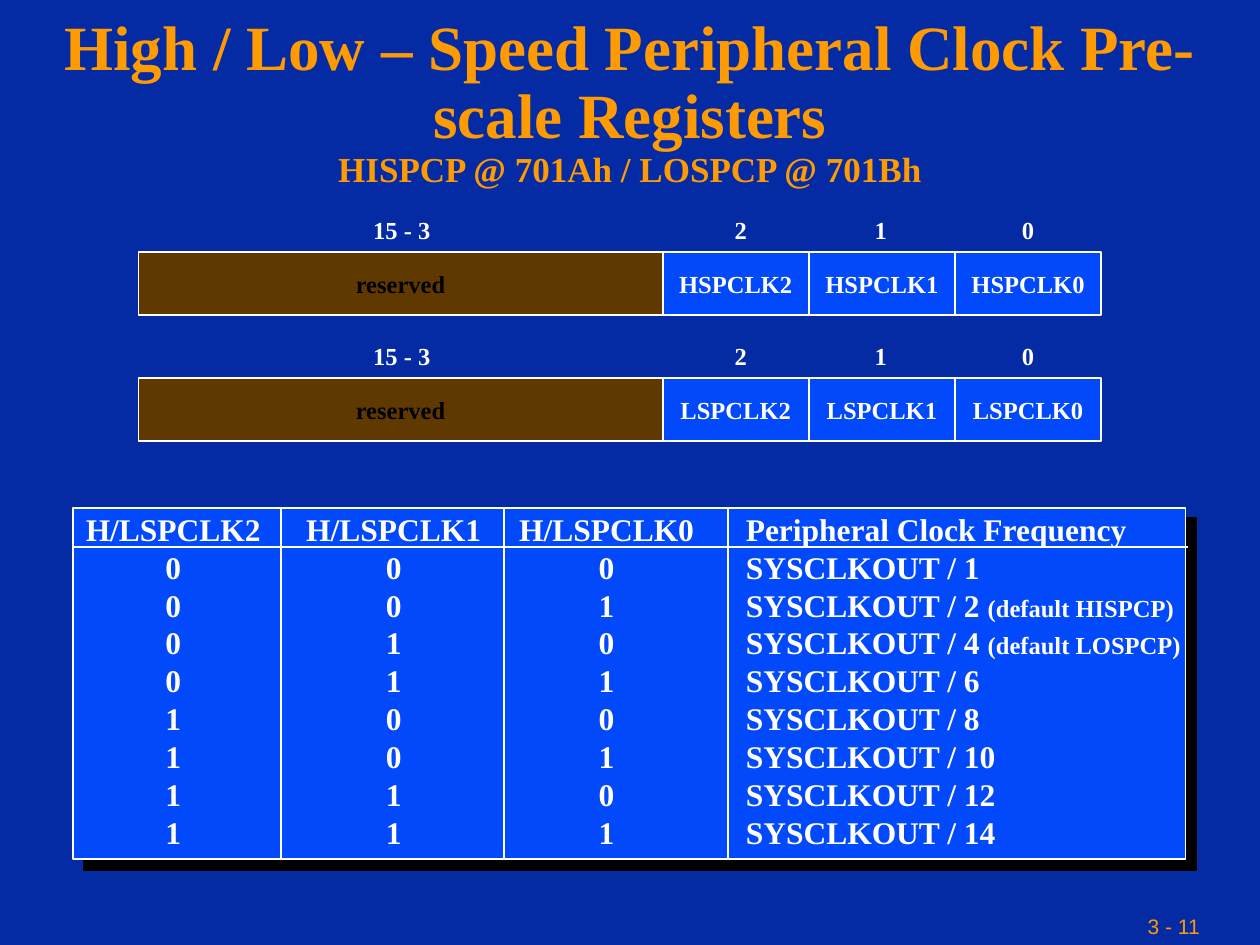
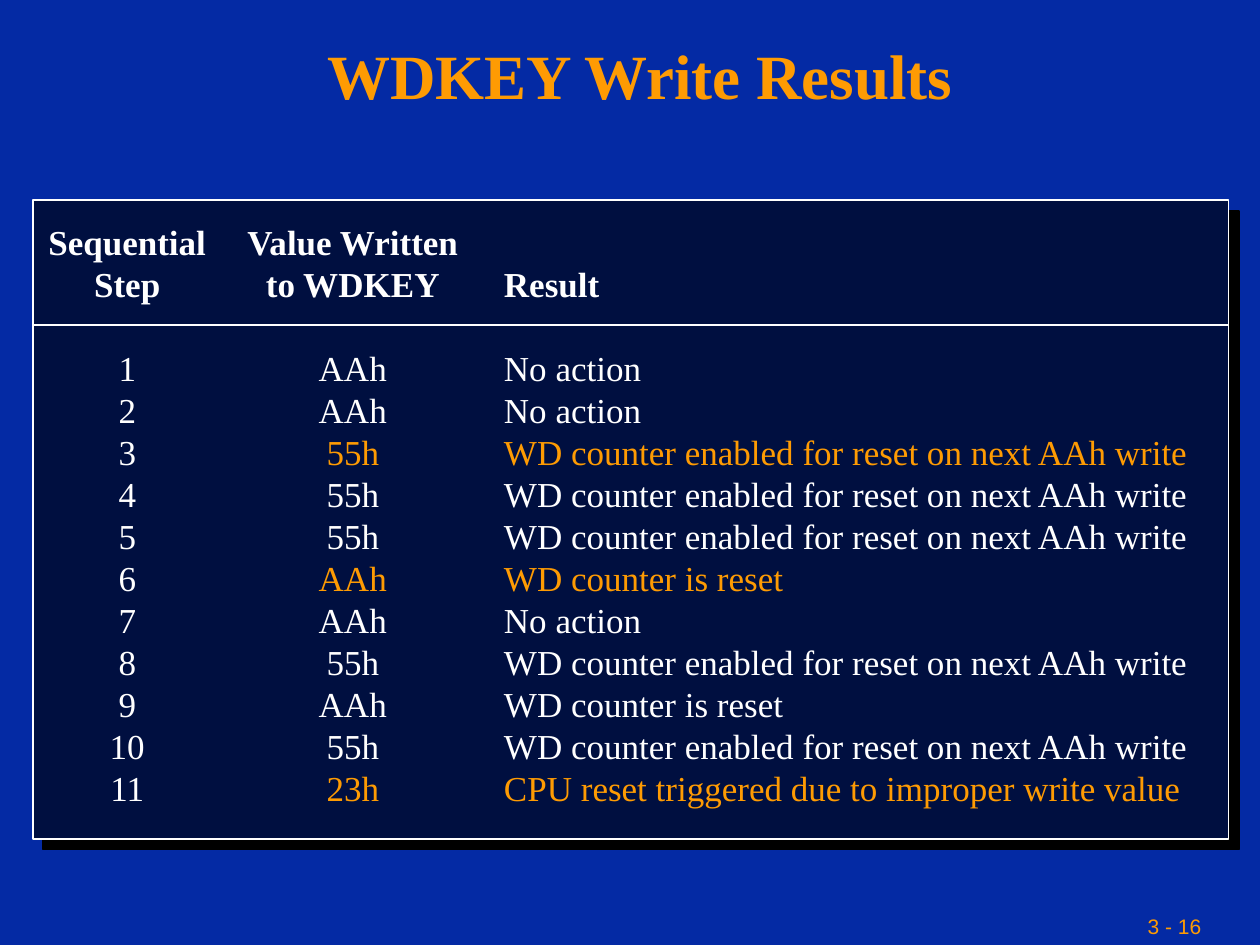
"""Build two register-reference slides: clock prescalers and watchdog key writes."""
from dataclasses import dataclass
from itertools import accumulate, product

from lxml.etree import SubElement as add_element
from pptx import Presentation
from pptx.dml.color import RGBColor
from pptx.enum.shapes import MSO_CONNECTOR as Connector, MSO_SHAPE as Shape
from pptx.enum.text import MSO_ANCHOR as Anchor, MSO_AUTO_SIZE as AutoSize, PP_ALIGN as Align
from pptx.oxml.ns import qn
from pptx.util import Emu, Inches, Pt

SLIDE_WIDTH, SLIDE_HEIGHT = Inches(10), Inches(7.5)
GRID_COLUMNS = 100
TITLE_ONLY = 5
PLAIN_TABLE_STYLE = "{2D5ABB26-0587-4C30-8999-92F81FD0307C}"


@dataclass(frozen=True)
class Theme:
    """Colours, fonts and sizes that the slides share."""
    background: str = "042AA4"
    accent: str = "FE9B03"
    light: str = "FFFFFF"
    dark: str = "000000"
    field: str = "0249FC"
    reserved: str = "603900"
    night: str = "000F40"
    serif: str = "Times New Roman"
    sans: str = "Arial"
    title: int = 36
    large: int = 20
    medium: int = 18
    small: int = 14
    footer: int = 12
    line: int = 1
    line_gap: float = 1.7


THEME = Theme()


@dataclass(frozen=True)
class Column:
    """Width, alignment and side margins of a table column, in grid units."""
    width: float
    align: Align = Align.CENTER
    left: float = 0
    right: float = 0


@dataclass(frozen=True)
class Entry:
    """Content of a table cell, with an optional smaller note after it."""
    text: str
    note: str = ""
    color: str = THEME.light
    bold: bool = True


@dataclass(frozen=True)
class Row:
    """Entries of a table row, its height and the space below its text."""
    entries: list
    height: float
    below: float = 0


def units(count):
    """Convert grid units, each a hundredth of the slide's width, to a length."""
    return Emu(round(count * SLIDE_WIDTH / GRID_COLUMNS))


def area(*counts):
    """Convert several lengths from grid units."""
    return [units(count) for count in counts]


def rgb(value):
    """Read a colour from its hexadecimal form."""
    return RGBColor.from_string(value)


def set_font(font, size, color, bold=True, name=THEME.serif):
    """Set every property of a font that the slides use."""
    font.name, font.size, font.bold = name, Pt(size), bold
    font.color.rgb = rgb(color)


def write(frame, text, size, color=THEME.light, align=Align.CENTER, bold=True, name=THEME.serif):
    """Write one paragraph per line and return the last one."""
    for index, line in enumerate(text.split("\n")):
        para = frame.add_paragraph() if index else frame.paragraphs[0]
        para.add_run().text = line
        para.alignment = align
        if index:
            para.space_before = Pt(THEME.line_gap)
        set_font(para.font, size, color, bold, name)
    return para


def add_label(shapes, place, text, size, **style):
    """Add a text box."""
    frame = shapes.add_textbox(*area(*place)).text_frame
    frame.word_wrap = True
    write(frame, text, size, **style)


def set_line(line):
    """Give a line the shared colour and width."""
    line.color.rgb = rgb(THEME.light)
    line.width = Pt(THEME.line)


def add_box(shapes, place, fill):
    """Add a filled rectangle with a thin light outline."""
    box = shapes.add_shape(Shape.RECTANGLE, *area(*place))
    box.shadow.inherit = False
    box.fill.solid()
    box.fill.fore_color.rgb = rgb(fill)
    set_line(box.line)
    return box


def add_rule(page, *ends):
    """Add a straight line between two points."""
    rule = page.shapes.add_connector(Connector.STRAIGHT, *area(*ends))
    set_line(rule.line)
    add_element(rule._element.spPr, qn("a:effectLst"))


def add_panel(page, place, fill):
    """Add a rectangle that casts a hard shadow to the lower right."""
    panel = add_box(page.shapes, place, fill)
    effects = panel._element.spPr.find(qn("a:effectLst"))
    shadow = add_element(effects, qn("a:outerShdw"), blurRad="0", dist=str(Pt(8.5)),
                         dir="2700000", algn="ctr", rotWithShape="0")
    add_element(shadow, qn("a:srgbClr"), val=THEME.dark)


def fill_cell(cell, entry, column, row, size):
    """Write an entry at the bottom of its cell."""
    cell.fill.background()
    cell.vertical_anchor = Anchor.BOTTOM
    cell.margin_left, cell.margin_top, cell.margin_right, cell.margin_bottom = area(
        column.left, 0, column.right, row.below)
    text = f"{entry.text} " if entry.note else entry.text
    para = write(cell.text_frame, text, size, entry.color, column.align, entry.bold)
    if entry.note:
        span = para.add_run()
        span.text = entry.note
        span.font.size = Pt(THEME.small)


def add_grid(page, left, top, columns, rows, size):
    """Add a table without borders or fills."""
    width, height = sum(c.width for c in columns), sum(r.height for r in rows)
    frame = page.shapes.add_table(len(rows), len(columns), *area(left, top, width, height))
    table = frame.table
    table.first_row = table.horz_banding = False
    table._tbl.tblPr.find(qn("a:tableStyleId")).text = PLAIN_TABLE_STYLE
    for index, column in enumerate(columns):
        table.columns[index].width = units(column.width)
    for down, row in enumerate(rows):
        table.rows[down].height = units(row.height)
        for across, (column, entry) in enumerate(zip(columns, row.entries)):
            fill_cell(table.cell(down, across), entry, column, row, size)


def add_page(deck, number, title, place, anchor, subtitle=""):
    """Add a slide with its title, optional subtitle and page number."""
    page = deck.slides.add_slide(deck.slide_layouts[TITLE_ONLY])
    heading = page.shapes.title
    heading.left, heading.top, heading.width, heading.height = area(*place)
    frame = heading.text_frame
    frame.word_wrap, frame.auto_size, frame.vertical_anchor = True, AutoSize.NONE, anchor
    para = write(frame, title, THEME.title, THEME.accent)
    para.line_spacing = 0.9
    if subtitle:
        para.add_line_break()
        span = para.add_run()
        span.text = subtitle
        span.font.size = Pt(THEME.large)
    add_label(page.shapes, (90.1, 72, 9.9, 3), f"3 - {number}", THEME.footer, color=THEME.accent,
              align=Align.LEFT, bold=False, name=THEME.sans)
    return page


def add_register(page, top, prefix):
    """Add a register's bit numbers above its fields."""
    group = page.shapes.add_group_shape()
    reserved_width, bit_width = 41.6, 11.6
    fields = [("15 - 3", "reserved", reserved_width, 0.1, THEME.reserved, THEME.dark)]
    fields += [(str(bit), f"{prefix}{bit}", bit_width, shift, THEME.field, THEME.light)
               for bit, shift in ((2, 0.4), (1, -0.1), (0, 0))]
    left = 11
    for bits, name, width, shift, fill, color in fields:
        add_label(group.shapes, (left + shift, top - 3.4, width, 3.4), bits, THEME.small)
        frame = add_box(group.shapes, (left, top, width, 5), fill).text_frame
        frame.word_wrap, frame.vertical_anchor = False, Anchor.MIDDLE
        write(frame, name, THEME.small, color)
        left += width


def add_prescale_slide(deck):
    """Add the slide on the peripheral clock prescale registers."""
    page = add_page(deck, 11, "High / Low – Speed Peripheral Clock Pre-scale Registers",
                    (0, 0.8, 100, 6.7), Anchor.TOP, "HISPCP @ 701Ah / LOSPCP @ 701Bh")
    for top, prefix in ((20, "HSPCLK"), (30, "LSPCLK")):
        add_register(page, top, prefix)

    headers = [f"H/LSPCLK{bit}" for bit in (2, 1, 0)] + ["Peripheral Clock Frequency"]
    notes = {2: "(default HISPCP)", 4: "(default LOSPCP)"}
    divisors = [1, *range(2, 15, 2)]
    rows = [Row([Entry(header) for header in headers], 3.2)]
    for bits, divisor in zip(product("01", repeat=3), divisors):
        clock = Entry(f"SYSCLKOUT / {divisor}", notes.get(divisor, ""))
        rows.append(Row([*map(Entry, bits), clock], 3))
    columns = [Column(16.5, right=0.6), Column(17.7, left=0.2), Column(17.8, right=1.5),
               Column(36.3, Align.LEFT, left=1.4)]
    left, top, width, height = 5.8, 40.3, 88.3, 27.9
    add_panel(page, (left, top, width, height), THEME.field)
    add_grid(page, left, top, columns, rows, THEME.medium)
    add_rule(page, left, top + 3.1, left + width + 0.2, top + 3.1)
    for edge in accumulate((column.width for column in columns[:-1]), initial=left):
        if edge > left:
            add_rule(page, edge, top, edge, top + height)


def add_watchdog_slide(deck):
    """Add the slide on the results of watchdog key writes."""
    page = add_page(deck, 16, "WDKEY Write Results", (8.3, 0, 85, 12.5), Anchor.MIDDLE)
    idle, armed, reset = ("No action", "WD counter enabled for reset on next AAh write",
                          "WD counter is reset")
    writes = [("AAh", idle), ("AAh", idle), ("55h", armed), ("55h", armed), ("55h", armed),
              ("AAh", reset), ("AAh", idle), ("55h", armed), ("AAh", reset), ("55h", armed),
              ("23h", "CPU reset triggered due to improper write value")]
    highlighted = {3, 6, 11}
    headers = ["Sequential\nStep", "Value Written\nto WDKEY", "Result"]
    header = Row([Entry(text) for text in headers], 9.9, 1.6)
    rows = [header]
    for step, texts in enumerate(writes, start=1):
        color = THEME.accent if step in highlighted else THEME.light
        entries = [Entry(str(step), bold=False)]
        entries += [Entry(text, color=color, bold=False) for text in texts]
        rows.append(Row(entries, 5.05 if step == 1 else 3.33))
    columns = [Column(15), Column(20.8), Column(59.1, Align.LEFT, left=1.6)]
    left, top, width, height = 2.6, 15.9, 94.9, 50.7
    add_panel(page, (left, top, width, height), THEME.night)
    add_grid(page, left, top, columns, rows, THEME.large)
    add_rule(page, left, top + header.height, left + width, top + header.height)


def main():
    """Build the deck and save it."""
    deck = Presentation()
    deck.slide_width, deck.slide_height = SLIDE_WIDTH, SLIDE_HEIGHT
    backdrop = deck.slide_master.background.fill
    backdrop.solid()
    backdrop.fore_color.rgb = rgb(THEME.background)
    add_prescale_slide(deck)
    add_watchdog_slide(deck)
    deck.save("out.pptx")


if __name__ == "__main__":
    main()
